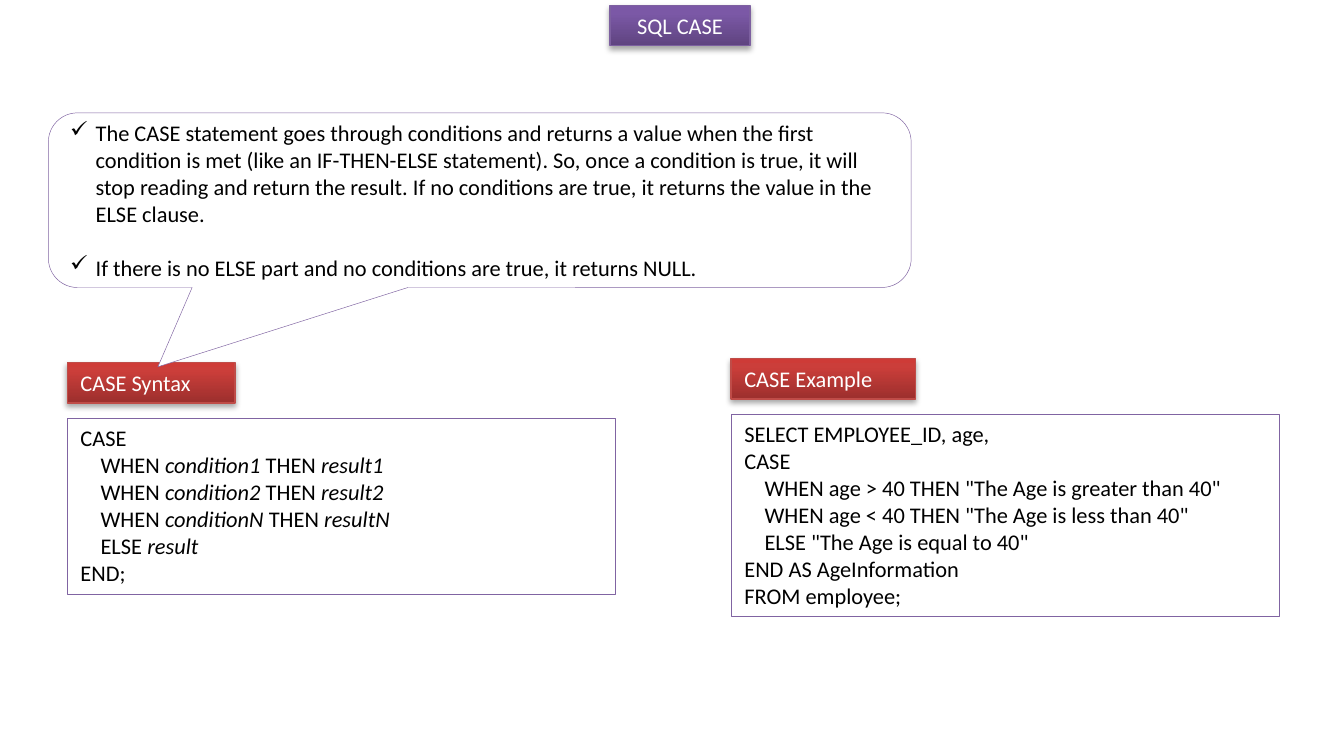
from copy import deepcopy

from pptx import Presentation
from pptx import util as u
from pptx.dml.color import RGBColor
from pptx.enum import shapes, text
from pptx.oxml import parse_xml
from pptx.oxml.ns import nsdecls, qn

COLORS = {
    "white": "FFFFFF", "black": "000000", "outline": "8064A2",
    "purple_line": "7D60A0", "red_line": "BF4C48",
}
GRADIENTS = {
    "purple": [(0, "5F4480"), (0.8, "7B58A6"), (1, "7C57A8")],
    "red": [(0, "9C2F2D"), (0.8, "CB3E3A"), (1, "CE3B37")],
}
FONT, SIZE = "Calibri", 12
LINE_HEIGHT = 14.65  # points, one line of body text
TAG_HEIGHT = 0.3
CODE_OFFSET = 0.41  # from the top of a tag to the top of its code box
CODE_WIDTH = 4.08

TITLE = "SQL CASE"
EXPLANATION = [
    "The CASE statement goes through conditions and returns a value when the first "
    "condition is met (like an IF-THEN-ELSE statement). So, once a condition is true, "
    "it will stop reading and return the result. If no conditions are true, it returns "
    "the value in the ELSE clause.",
    "If there is no ELSE part and no conditions are true, it returns NULL.",
]
# Asterisks enclose italic words.
SYNTAX = {
    "tag": "CASE Syntax", "left": 0.5, "top": 2.7, "tag_width": 1.25, "height": 1.31,
    "code": [
        "CASE",
        "    WHEN *condition1* THEN *result1*",
        "    WHEN *condition2* THEN *result2*",
        "    WHEN *conditionN* THEN *resultN*",
        "    ELSE *result*",
        "END;",
    ],
}
EXAMPLE = {
    "tag": "CASE Example", "left": 5.44, "top": 2.67, "tag_width": 1.37, "height": 1.51,
    "code": [
        "SELECT EMPLOYEE_ID, age,",
        "CASE",
        '    WHEN age > 40 THEN "The Age is greater than 40"',
        '    WHEN age < 40 THEN "The Age is less than 40"',
        '    ELSE "The Age is equal to 40"',
        "END AS AgeInformation",
        "FROM employee;",
    ],
}


def rgb(name):
    return RGBColor.from_string(COLORS[name])


def add_bullet(paragraph, character="✓", indent=0.19):
    properties = paragraph._p.get_or_add_pPr()
    properties.set("marL", str(u.Inches(indent)))
    properties.set("indent", str(-u.Inches(indent)))
    properties.append(parse_xml(f'<a:buFont {nsdecls("a")} typeface="Wingdings"/>'
                                if character == "ü" else
                                f'<a:buChar {nsdecls("a")} char="{character}"/>'))


def write(shape, lines, color="black", align=text.PP_ALIGN.LEFT, bullets=False,
          anchor=text.MSO_ANCHOR.TOP, grow=True, gap=0):
    frame = shape.text_frame
    frame.word_wrap = True
    frame.vertical_anchor = anchor
    if grow:
        frame.auto_size = text.MSO_AUTO_SIZE.SHAPE_TO_FIT_TEXT
    for number, line in enumerate(lines):
        paragraph = frame.add_paragraph() if number else frame.paragraphs[0]
        paragraph.alignment = align
        if number and gap:
            paragraph.space_before = u.Pt(gap)
        if bullets:
            add_bullet(paragraph)
        for position, piece in enumerate(line.split("*")):
            if piece:
                run = paragraph.add_run()
                run.text = piece
                run.font.name, run.font.size = FONT, u.Pt(SIZE)
                run.font.color.rgb = rgb(color)
                run.font.italic = position % 2 == 1


def add_box(slide, place, kind=shapes.MSO_SHAPE.RECTANGLE, line="outline", weight=0.25):
    shape = slide.shapes.add_shape(kind, *map(u.Inches, place))
    shape.shadow.inherit = False
    shape.fill.solid()
    shape.fill.fore_color.rgb = rgb("white")
    shape.line.color.rgb = rgb(line)
    shape.line.width = u.Pt(weight)
    return shape


def add_tag(slide, label, place, theme, **formatting):
    """Add a shaded label with a soft shadow below it."""
    shape = add_box(slide, place, line=f"{theme}_line", weight=0.75)
    shape.fill.gradient()
    shape.fill.gradient_angle = 90
    properties = shape._element.spPr
    stop_list = properties.find(qn("a:gradFill")).find(qn("a:gsLst"))
    stop_list.append(deepcopy(stop_list[-1]))
    for stop, (position, color) in zip(shape.fill.gradient_stops, GRADIENTS[theme]):
        stop.position = position
        stop.color.rgb = RGBColor.from_string(color)
    properties.find(qn("a:effectLst")).append(parse_xml(
        f'<a:outerShdw {nsdecls("a")} blurRad="{u.Pt(3.1)}" dist="{u.Pt(1.8)}" '
        'dir="5400000" rotWithShape="0"><a:srgbClr val="000000">'
        '<a:alpha val="35000"/></a:srgbClr></a:outerShdw>'))
    write(shape, [label], color="white", **formatting)


def add_panel(slide, panel):
    """Add a code box and the tag above it."""
    left, top = panel["left"], panel["top"]
    code_box = add_box(slide, (left, top + CODE_OFFSET, CODE_WIDTH, panel["height"]))
    write(code_box, panel["code"])
    add_tag(slide, panel["tag"], (left, top, panel["tag_width"], TAG_HEIGHT), "red")


def add_callout(slide):
    callout = add_box(slide, (0.36, 0.84, 6.42, 1.3),
                      shapes.MSO_SHAPE.ROUNDED_RECTANGULAR_CALLOUT)
    for number, value in enumerate((-0.373, 0.954, 0.167)):
        callout.adjustments[number] = value
    write(callout, EXPLANATION, bullets=True, anchor=text.MSO_ANCHOR.MIDDLE,
          grow=False, gap=LINE_HEIGHT)


def main():
    presentation = Presentation()
    presentation.slide_width, presentation.slide_height = u.Inches(10), u.Inches(5.5)
    slide = presentation.slides.add_slide(presentation.slide_layouts[6])
    add_tag(slide, TITLE, (4.54, 0.04, 1.04, TAG_HEIGHT), "purple",
            align=text.PP_ALIGN.CENTER)
    add_panel(slide, SYNTAX)
    add_callout(slide)
    add_panel(slide, EXAMPLE)
    presentation.save("out.pptx")


if __name__ == "__main__":
    main()
